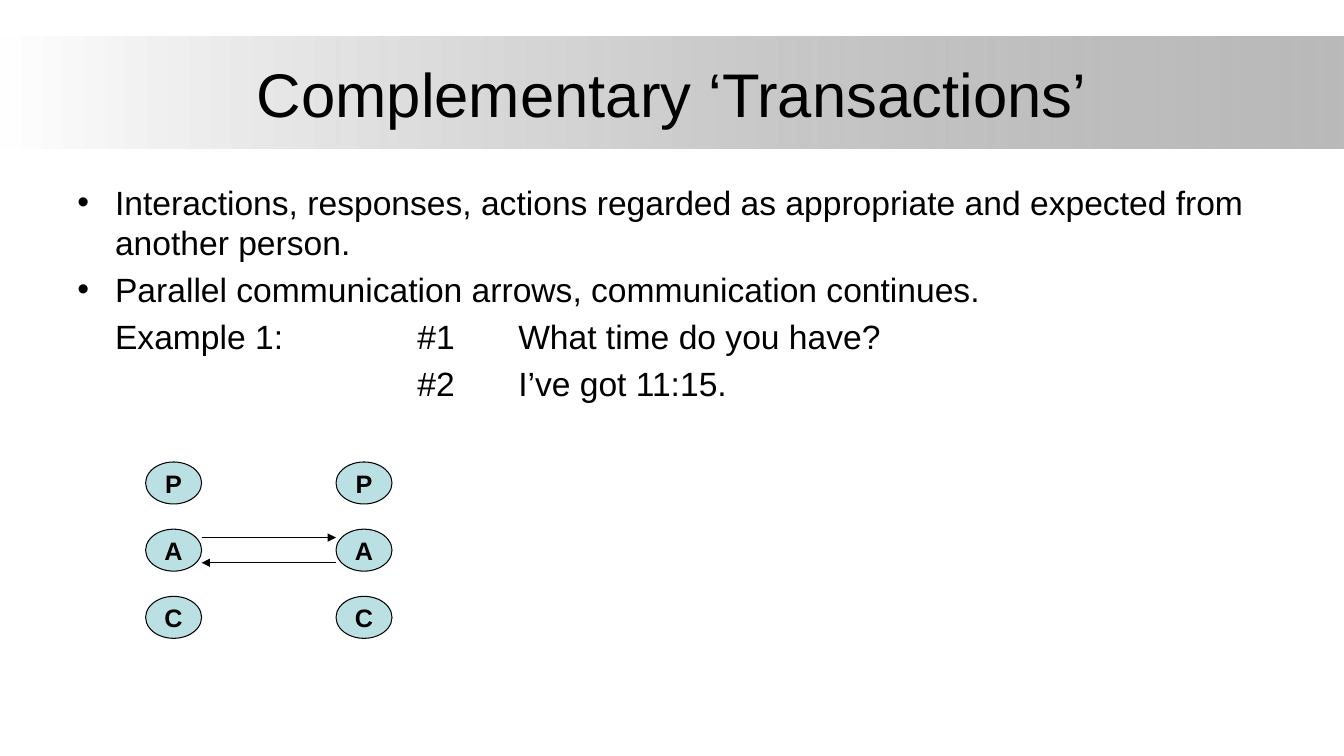
from pptx import Presentation
from pptx.dml.color import RGBColor as RGB
from pptx.enum.shapes import MSO_CONNECTOR as LINE, MSO_SHAPE as SHAPE
from pptx.enum.text import MSO_ANCHOR as ANCHOR, MSO_AUTO_SIZE as FIT, PP_ALIGN as ALIGN
from pptx.oxml.ns import qn
from pptx.util import Pt
from lxml.etree import SubElement as Sub

# Content
TITLE = "Complementary ‘Transactions’"
BODY = [  # text, bullet
    ("Interactions, responses, actions regarded as appropriate and expected from another person.", True),
    ("Parallel communication arrows, communication continues.", True),
    ("\tExample 1:\t\t#1\tWhat time do you have?", False),
    ("\t\t\t\t#2\tI’ve got 11:15.", False),
]
STATES = ["P", "A", "C"]
COLORS = {"ink": "000000", "node": "BBE0E3", "white": "FFFFFF", "gray": "808080"}

# Layout, in points
WIDE, HIGH = 960, 540
LEFTS = (104, 240)
TOP, STEP = 330, 48
NODE_W, NODE_H = 40, 30
GAP = 9  # arrow offset from the middle of the A row


def color(name):
    return RGB.from_string(COLORS[name])


def place(shape, x, y, w, h):
    shape.left, shape.top, shape.width, shape.height = Pt(x), Pt(y), Pt(w), Pt(h)


def write(par, text, size=24, bold=False, align=None):
    run = par.add_run()
    run.text = text
    font = run.font
    font.name, font.size, font.bold = "Arial", Pt(size), bold
    font.color.rgb = color("ink")
    par.alignment = align


def outline(shape):
    shape.line.color.rgb = color("ink")
    shape.line.width = Pt(0.75)


def node(x, y, text):
    dot = slide.shapes.add_shape(SHAPE.FLOWCHART_CONNECTOR, Pt(x), Pt(y), Pt(NODE_W), Pt(NODE_H))
    dot.shadow.inherit = False
    dot.fill.solid()
    dot.fill.fore_color.rgb = color("node")
    outline(dot)
    frame = dot.text_frame
    frame.word_wrap = False
    frame.vertical_anchor = ANCHOR.MIDDLE
    write(frame.paragraphs[0], text, size=18, bold=True, align=ALIGN.CENTER)


def arrow(start, end, y):
    link = slide.shapes.add_connector(LINE.STRAIGHT, Pt(start), Pt(y), Pt(end), Pt(y))
    outline(link)
    Sub(link.line._get_or_add_ln(), qn("a:tailEnd"), type="triangle")
    Sub(link._element.spPr, qn("a:effectLst"))


deck = Presentation()
deck.slide_width, deck.slide_height = Pt(WIDE), Pt(HIGH)
slide = deck.slides.add_slide(deck.slide_layouts[1])
title, body = slide.placeholders

# Gradient band behind the title
band = slide.shapes.add_shape(SHAPE.RECTANGLE, 0, Pt(26), Pt(WIDE), Pt(80))
band.shadow.inherit = False
band.line.fill.background()
band.fill.gradient()
band.fill.gradient_angle = 0
for stop, name in zip(band.fill.gradient_stops, ("white", "gray")):
    stop.color.rgb = color(name)
tints = list(band._element.spPr.iter(qn("a:srgbClr")))
Sub(tints[-1], qn("a:alpha"), val="54000")
slide.shapes._spTree.insert(2, band._element)

# Title
place(title, 48, 21.6, 864, 90)
title.text_frame.auto_size = FIT.NONE
title.text_frame.vertical_anchor = ANCHOR.MIDDLE
write(title.text_frame.paragraphs[0], TITLE, size=44, align=ALIGN.CENTER)

# Body
place(body, 48, 126, 864, 356.4)
frame = body.text_frame
frame.auto_size = FIT.NONE
for i, (text, bullet) in enumerate(BODY):
    par = frame.add_paragraph() if i else frame.paragraphs[0]
    write(par, text)
    props = par._p.get_or_add_pPr()
    props.set("defTabSz", str(Pt(72)))
    if not bullet:
        Sub(props, qn("a:buNone"))

# Two columns of states, with parallel arrows between the A nodes
for x in LEFTS:
    for i, text in enumerate(STATES):
        node(x, TOP + i * STEP, text)
near, far = LEFTS[0] + NODE_W, LEFTS[1]
mid = TOP + STEP + NODE_H / 2
arrow(near, far, mid - GAP)
arrow(far, near, mid + GAP)

deck.save("out.pptx")
